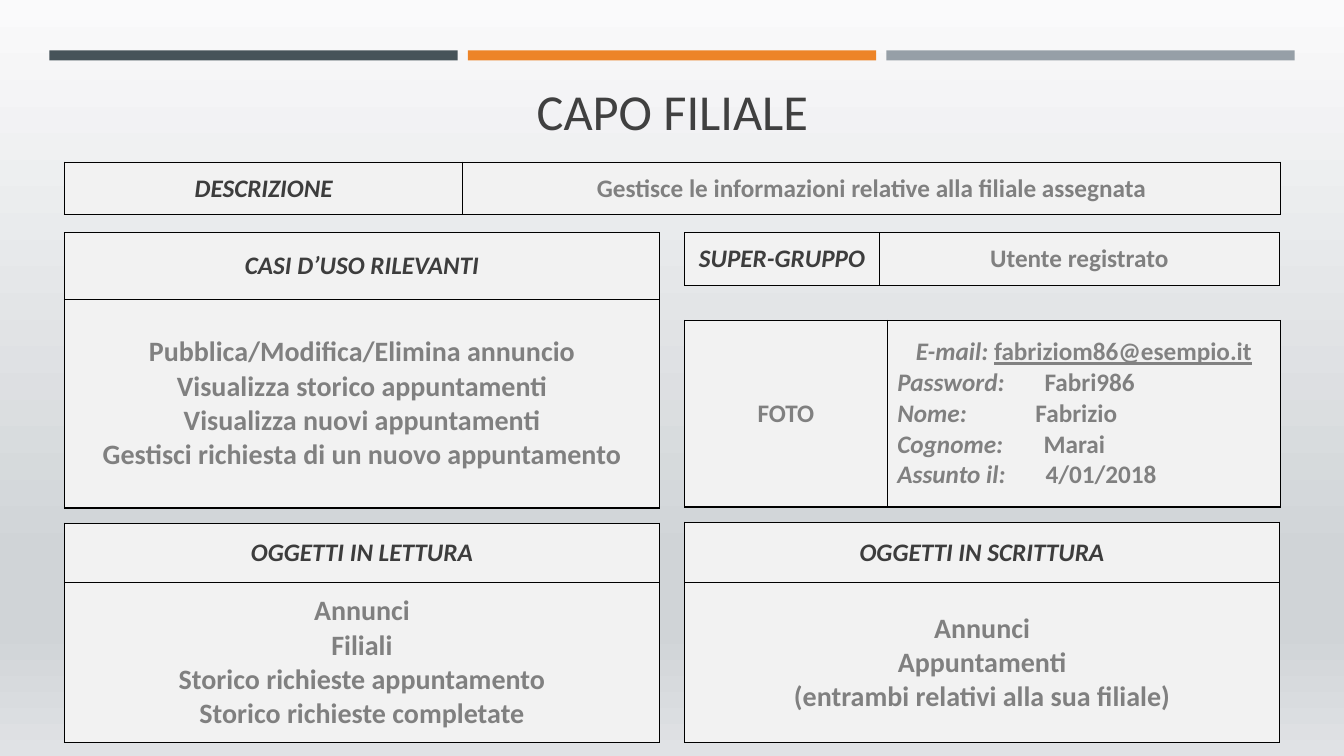
import pptx
import pptx.dml.color
import pptx.enum.shapes
import pptx.enum.text
import pptx.oxml
import pptx.oxml.ns
import pptx.util
from lxml import etree

Inches = pptx.util.Inches
Pt = pptx.util.Pt
ALIGN = pptx.enum.text.PP_ALIGN
ANCHOR = pptx.enum.text.MSO_ANCHOR
qn = pptx.oxml.ns.qn

COLOURS = {
    "slate": "465359", "orange": "ED8428", "steel": "969FA7",
    "title": "404040", "heading": "3D3D3D", "body": "808080",
    "link": "828282", "cell": "F2F2F2", "border": "000000",
}
BACKDROP = [(0, "FAFAFB"), (74, "D0D4D7"), (83, "D0D4D7"), (100, "E0E2E5")]

TITLE = {"size": 36, "colour": "title"}
HEADING = {"size": 18, "colour": "heading", "bold": True, "italic": True}
BODY = {"size": 18, "colour": "body", "bold": True}
LABEL = {**BODY, "italic": True}
LINK = {**BODY, "colour": "link", "underline": True}
LIST = {**BODY, "size": 20}

LEFT, RIGHT, COLUMN = 0.64, 6.79, 5.9


def rgb(name):
    return pptx.dml.color.RGBColor.from_string(COLOURS[name])


def paint_background(slide):
    fill = slide.background.fill
    fill.gradient()
    fill.gradient_angle = 270
    stops = next(slide.element.iter(qn("a:gsLst")))
    for stop in list(stops):
        stops.remove(stop)
    for percent, colour in BACKDROP:
        stop = etree.SubElement(stops, qn("a:gs"), pos=str(percent * 1000))
        etree.SubElement(stop, qn("a:srgbClr"), val=colour)


def add_bar(slide, left, colour):
    bar = slide.shapes.add_shape(
        pptx.enum.shapes.MSO_SHAPE.RECTANGLE,
        Inches(left), Inches(0.5), Inches(4.05), Inches(0.1))
    bar.shadow.inherit = False
    bar.fill.solid()
    bar.fill.fore_color.rgb = rgb(colour)
    bar.line.fill.background()


def add_run(paragraph, text, style):
    run = paragraph.add_run()
    run.text = text
    formats = {"name": "Calibri", **style, "size": Pt(style["size"])}
    run.font.color.rgb = rgb(formats.pop("colour"))
    for attribute, value in formats.items():
        setattr(run.font, attribute, value)


def add_tab_stop(paragraph, position):
    properties = paragraph._p.get_or_add_pPr()
    stops = etree.SubElement(properties, qn("a:tabLst"))
    etree.SubElement(stops, qn("a:tab"), pos=str(Inches(position)), algn="l")


def centred(style, *lines):
    """Describe centred lines as (runs, tab position) pairs."""
    return [([(line, style)], None) for line in lines]


def field(label, value, tab):
    return [(f"{label}:\t", LABEL), (value, BODY)], tab


def write(frame, lines):
    """Fill a text frame; lines with a tab position are set left."""
    for index, (runs, tab) in enumerate(lines):
        paragraph = frame.add_paragraph() if index else frame.paragraphs[0]
        paragraph.alignment = ALIGN.CENTER if tab is None else ALIGN.LEFT
        if tab is not None:
            add_tab_stop(paragraph, tab)
        for text, style in runs:
            add_run(paragraph, text, style)


def add_title(slide, text):
    title = slide.shapes.add_textbox(
        Inches(LEFT), Inches(0.62), Inches(12.06), Inches(0.82))
    title.text_frame.word_wrap = True
    title.text_frame.vertical_anchor = ANCHOR.BOTTOM
    write(title.text_frame, centred(TITLE, text))


def add_borders(cell):
    properties = cell._tc.get_or_add_tcPr()
    for side in ("lnL", "lnR", "lnT", "lnB"):
        line = etree.SubElement(properties, qn(f"a:{side}"), w=str(Pt(1)))
        fill = etree.SubElement(line, qn("a:solidFill"))
        etree.SubElement(fill, qn("a:srgbClr"), val=COLOURS["border"])


def add_card(slide, left, top, widths, heights, rows):
    table = slide.shapes.add_table(
        len(heights), len(widths), Inches(left), Inches(top),
        Inches(sum(widths)), Inches(sum(heights))).table
    table.first_row = table.horz_banding = False
    for column, width in zip(table.columns, widths):
        column.width = Inches(width)
    for row, height, contents in zip(table.rows, heights, rows):
        row.height = Inches(height)
        for cell, lines in zip(row.cells, contents):
            add_borders(cell)
            cell.fill.solid()
            cell.fill.fore_color.rgb = rgb("cell")
            cell.vertical_anchor = ANCHOR.MIDDLE
            write(cell.text_frame, lines)


def add_label_card(slide, left, top, widths, label, value):
    add_card(slide, left, top, widths, [0.52],
             [[centred(HEADING, label), centred(BODY, value)]])


def add_list_card(slide, left, top, heights, heading, *items):
    add_card(slide, left, top, [COLUMN], heights,
             [[centred(HEADING, heading)], [centred(LIST, *items)]])


def add_profile_card(slide):
    profile = [
        ([("E-mail: ", LABEL), ("fabriziom86@esempio.it", LINK)], None),
        field("Password", "Fabri986", 1.46),
        field("Nome", "Fabrizio", 1.37),
        field("Cognome", "Marai", 1.45),
        field("Assunto il", "4/01/2018", 1.47),
    ]
    add_card(slide, RIGHT, 3.18, [2.01, 3.9], [1.85],
             [[centred(BODY, "FOTO"), profile]])


def main():
    deck = pptx.Presentation()
    deck.slide_width, deck.slide_height = Inches(13.33), Inches(7.5)
    slide = deck.slides.add_slide(deck.slide_layouts[6])
    paint_background(slide)
    for index, colour in enumerate(("slate", "orange", "steel")):
        add_bar(slide, 0.49 + 4.15 * index, colour)
    add_title(slide, "CAPO FILIALE")

    add_label_card(slide, LEFT, 1.61, [3.95, 8.11], "DESCRIZIONE",
                   "Gestisce le informazioni relative alla filiale assegnata")
    add_profile_card(slide)
    add_list_card(slide, LEFT, 2.31, [0.66, 2.07], "CASI D’USO RILEVANTI",
                  "Pubblica/Modifica/Elimina annuncio",
                  "Visualizza storico appuntamenti",
                  "Visualizza nuovi appuntamenti",
                  "Gestisci richiesta di un nuovo appuntamento")
    add_list_card(slide, LEFT, 5.19, [0.59, 1.59], "OGGETTI IN LETTURA",
                  "Annunci", "Filiali", "Storico richieste appuntamento",
                  "Storico richieste completate")
    add_list_card(slide, RIGHT, 5.18, [0.6, 1.59], "OGGETTI IN SCRITTURA",
                  "Annunci", "Appuntamenti",
                  "(entrambi relativi alla sua filiale)")
    add_label_card(slide, RIGHT, 2.31, [1.93, 3.97], "SUPER-GRUPPO",
                   "Utente registrato")
    deck.save("out.pptx")


if __name__ == "__main__":
    main()
